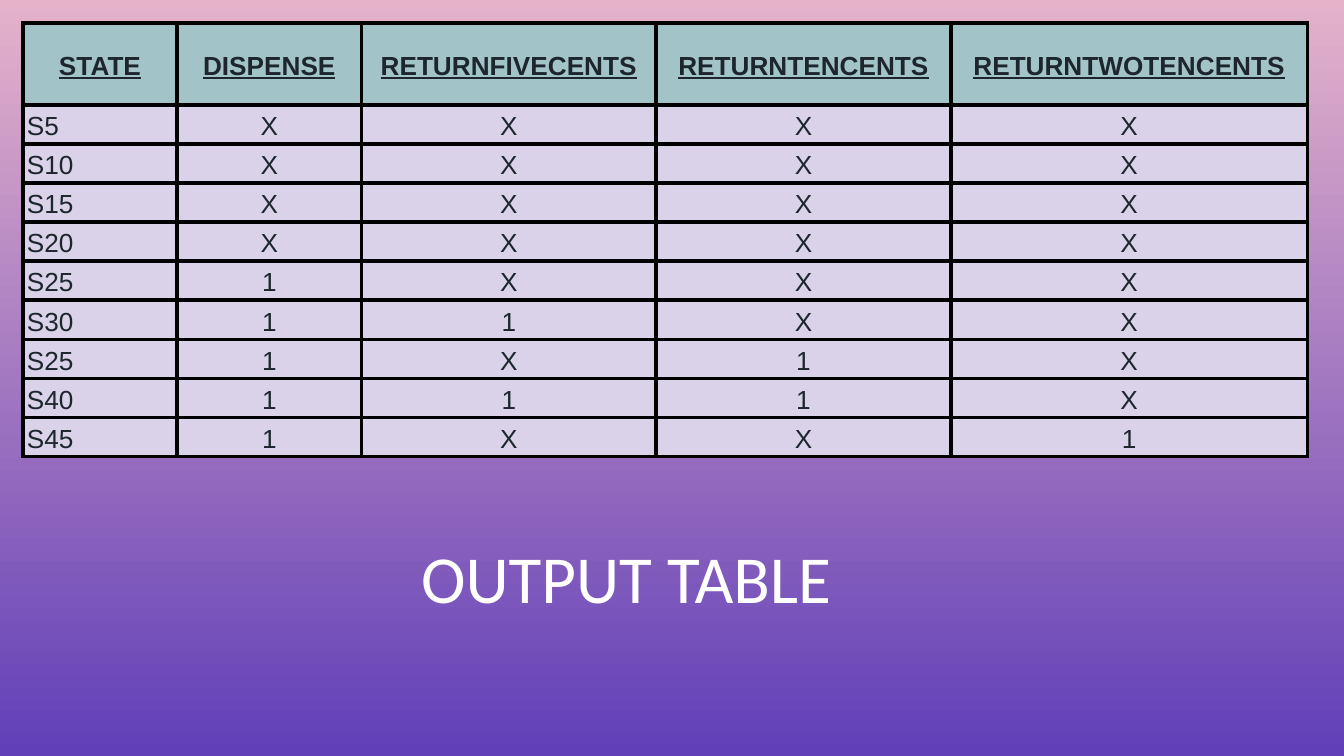
"""Build a slide with the output table of a vending state machine."""
from dataclasses import dataclass

from lxml.etree import SubElement
from pptx import Presentation
from pptx.dml.color import RGBColor as Color
from pptx.enum.text import MSO_ANCHOR as Anchor, PP_ALIGN as Align
from pptx.oxml.ns import qn
from pptx.slide import Slide
from pptx.table import _Cell as Cell
from pptx.text.text import _Paragraph as Paragraph
from pptx.util import Cm, Pt


@dataclass(frozen=True)
class TextStyle:
    font: str
    size: float
    color: str
    emphasis: bool = False


@dataclass(frozen=True)
class CellStyle:
    text: TextStyle
    fill: str
    anchor: Anchor


@dataclass(frozen=True)
class Theme:
    gradient: tuple[str, str] = ("E5B2CA", "613FB8")
    border: str = "000000"
    border_width: float = 2.25
    title: TextStyle = TextStyle("Calibri", 36, "FFFFFF")
    header: CellStyle = CellStyle(
        TextStyle("Arial", 14, "1D262D", True), "A2C4C9", Anchor.MIDDLE)
    body: CellStyle = CellStyle(
        TextStyle("Arial", 14, "1D262D"), "D9D2E9", Anchor.BOTTOM)


@dataclass(frozen=True)
class Column:
    heading: str
    width: float


@dataclass(frozen=True)
class State:
    name: str
    outputs: str


THEME = Theme()
COLUMNS = (
    Column("STATE", 2.92),
    Column("DISPENSE", 3.48),
    Column("RETURNFIVECENTS", 5.57),
    Column("RETURNTENCENTS", 5.57),
    Column("RETURNTWOTENCENTS", 6.74),
)
STATES = (
    State("S5", "XXXX"),
    State("S10", "XXXX"),
    State("S15", "XXXX"),
    State("S20", "XXXX"),
    State("S25", "1XXX"),
    State("S30", "11XX"),
    State("S25", "1X1X"),
    State("S40", "111X"),
    State("S45", "1XX1"),
)
HEADER_HEIGHT, ROW_HEIGHT = 1.55, 0.66


def paint_background(slide: Slide) -> None:
    """Fill the slide with a gradient from top to bottom."""
    fill = slide.background.fill
    fill.gradient()
    fill.gradient_angle = 270
    for stop, color in zip(fill.gradient_stops, THEME.gradient):
        stop.color.rgb = Color.from_string(color)


def write(paragraph: Paragraph, text: str, style: TextStyle, align: Align) -> None:
    """Add one styled run to an aligned paragraph."""
    paragraph.alignment = align
    run = paragraph.add_run()
    run.text = text
    font = run.font
    font.name, font.size = style.font, Pt(style.size)
    font.bold = font.underline = style.emphasis
    font.color.rgb = Color.from_string(style.color)


def draw_borders(cell: Cell) -> None:
    """Outline all four sides of a cell."""
    properties = cell._tc.get_or_add_tcPr()
    for position, side in enumerate(("lnL", "lnR", "lnT", "lnB")):
        line = SubElement(properties, qn(f"a:{side}"), w=str(Pt(THEME.border_width)))
        fill = SubElement(line, qn("a:solidFill"))
        SubElement(fill, qn("a:srgbClr"), val=THEME.border)
        properties.insert(position, line)


def draw_cell(cell: Cell, text: str, style: CellStyle, align: Align) -> None:
    """Fill, outline and label one table cell."""
    cell.fill.solid()
    cell.fill.fore_color.rgb = Color.from_string(style.fill)
    cell.vertical_anchor = style.anchor
    cell.margin_left = cell.margin_right = Cm(0.08)
    cell.margin_top = cell.margin_bottom = Cm(0.05)
    draw_borders(cell)
    paragraph = cell.text_frame.paragraphs[0]
    paragraph.line_spacing = 1.15
    write(paragraph, text, style.text, align)


def draw_table(slide: Slide) -> None:
    """Draw the table of states and their outputs."""
    width = sum(column.width for column in COLUMNS)
    height = HEADER_HEIGHT + ROW_HEIGHT * len(STATES)
    table = slide.shapes.add_table(
        len(STATES) + 1, len(COLUMNS), Cm(0.43), Cm(0.43), Cm(width), Cm(height)).table
    table.horz_banding = False
    for index, column in enumerate(COLUMNS):
        table.columns[index].width = Cm(column.width)
        draw_cell(table.cell(0, index), column.heading, THEME.header, Align.CENTER)
    table.rows[0].height = Cm(HEADER_HEIGHT)
    for row, state in enumerate(STATES, start=1):
        table.rows[row].height = Cm(ROW_HEIGHT)
        for index, text in enumerate((state.name, *state.outputs)):
            align = Align.CENTER if index else Align.LEFT
            draw_cell(table.cell(row, index), text, THEME.body, align)


def draw_title(slide: Slide) -> None:
    """Draw the title below the table."""
    frame = slide.shapes.add_textbox(Cm(6), Cm(9.88), Cm(11.96), Cm(1.85)).text_frame
    frame.word_wrap = True
    frame.vertical_anchor = Anchor.TOP
    frame.margin_left = frame.margin_right = Cm(0.25)
    frame.margin_top = frame.margin_bottom = Cm(0.25)
    write(frame.paragraphs[0], "OUTPUT TABLE ", THEME.title, Align.CENTER)


def main() -> None:
    """Build and save the presentation."""
    presentation = Presentation()
    presentation.slide_width, presentation.slide_height = Cm(25.4), Cm(14.29)
    slide = presentation.slides.add_slide(presentation.slide_layouts[6])
    paint_background(slide)
    draw_table(slide)
    draw_title(slide)
    presentation.save("out.pptx")


if __name__ == "__main__":
    main()
